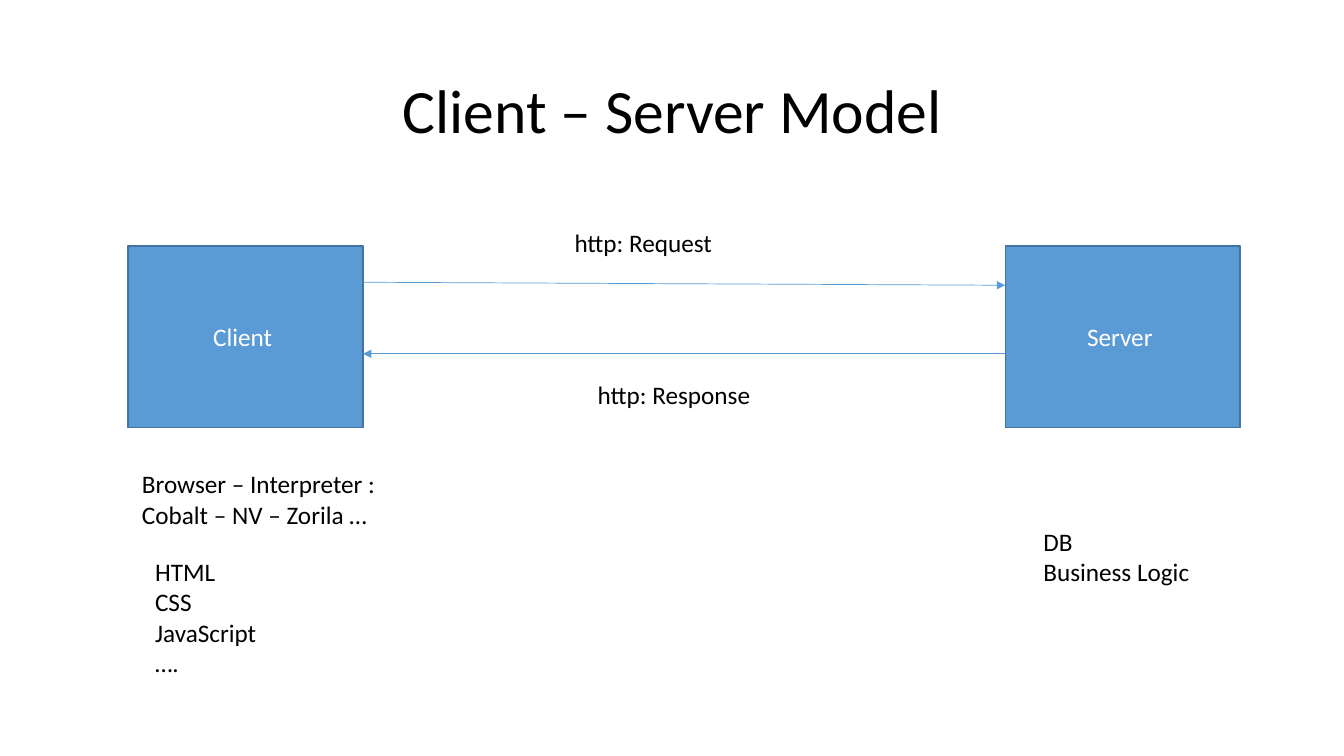
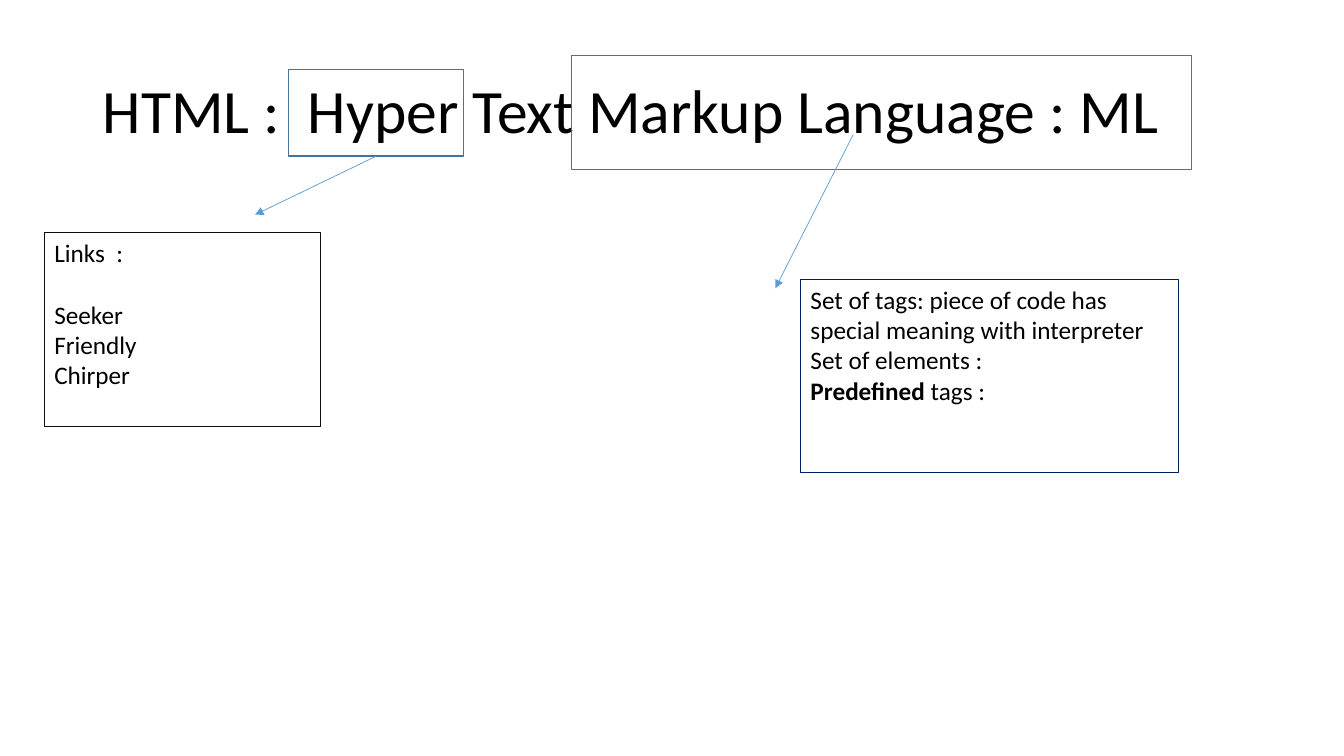
"""Build two slides on the client-server model and the meaning of HTML."""
from pptx import Presentation
from pptx.dml.color import RGBColor
from pptx.enum import shapes, text
from pptx.oxml import ns, xmlchemy
from pptx.util import Inches, Pt

FONT = "Calibri"
BLACK = RGBColor(0x00, 0x00, 0x00)
WHITE = RGBColor(0xFF, 0xFF, 0xFF)
BLUE = RGBColor(0x5B, 0x9B, 0xD5)
EDGE_BLUE = RGBColor(0x43, 0x73, 0x9E)
NEAR_BLACK = RGBColor(0x0D, 0x0D, 0x0D)
NAVY = RGBColor(0x00, 0x20, 0x60)
LEFT, CENTER = text.PP_ALIGN.LEFT, text.PP_ALIGN.CENTER
TOP, MIDDLE = text.MSO_ANCHOR.TOP, text.MSO_ANCHOR.MIDDLE


def add_block(slide, place, words="", size=18, color=BLACK, align=LEFT,
              anchor=TOP, fill=None, edge=None, edge_width=1):
    """Add a text box, or a rectangle when an edge colour is given."""
    box = [Inches(length) for length in place]
    if edge is None:
        block = slide.shapes.add_textbox(*box)
    else:
        block = slide.shapes.add_shape(shapes.MSO_SHAPE.RECTANGLE, *box)
        block.shadow.inherit = False
        block.line.color.rgb = edge
        block.line.width = Pt(edge_width)
        if fill is None:
            block.fill.background()
        else:
            block.fill.solid()
            block.fill.fore_color.rgb = fill
    frame = block.text_frame
    frame.word_wrap = True
    frame.vertical_anchor = anchor
    frame.text = words
    for paragraph in frame.paragraphs:
        paragraph.alignment = align
        for run in paragraph.runs:
            run.font.name = FONT
            run.font.size = Pt(size)
            run.font.color.rgb = color
    return block


def add_arrow(slide, *ends):
    """Add a thin blue arrow between two points."""
    arrow = slide.shapes.add_connector(
        shapes.MSO_CONNECTOR.STRAIGHT, *[Inches(length) for length in ends])
    arrow.line.color.rgb = BLUE
    arrow.line.width = Pt(0.5)
    head = xmlchemy.OxmlElement("a:tailEnd")
    head.set("type", "triangle")
    properties = arrow._element.spPr
    properties.find(ns.qn("a:ln")).append(head)
    properties.append(xmlchemy.OxmlElement("a:effectLst"))
    return arrow


deck = Presentation()
deck.slide_width, deck.slide_height = Inches(13.33), Inches(7.5)

titles = [("Client – Server Model", CENTER),
          ("HTML :  Hyper Text Markup Language : ML", LEFT)]
for words, align in titles:
    slide = deck.slides.add_slide(deck.slide_layouts[6])
    title = add_block(slide, (0.92, 0.4, 11.5, 1.45), words, 44,
                      align=align, anchor=MIDDLE)
    title.text_frame.paragraphs[0].line_spacing = 0.9
model_slide, html_slide = deck.slides

for left, name in [(1.27, "Client "), (9.97, "Server ")]:
    add_block(model_slide, (left, 2.44, 2.33, 1.8), name, color=WHITE,
              align=CENTER, anchor=MIDDLE, fill=BLUE, edge=EDGE_BLUE)

add_arrow(model_slide, 3.6, 2.8, 9.97, 2.83)
add_arrow(model_slide, 9.97, 3.51, 3.6, 3.51)

labels = [
    ((5.6, 2.21, 1.9, 0.4), "http: Request"),
    ((5.83, 3.71, 1.9, 0.4), "http: Response"),
    ((1.31, 4.6, 2.71, 0.71), "Browser – Interpreter :\nCobalt – NV – Zorila …"),
    ((1.44, 5.47, 2.16, 1.31), "HTML\nCSS\nJavaScript\n…."),
    ((10.25, 5.17, 2.16, 1.01), "DB\nBusiness Logic"),
]
for place, words in labels:
    add_block(model_slide, place, words)

hyper_frame = add_block(html_slide, (2.86, 0.69, 1.74, 0.86), edge=EDGE_BLUE)
add_block(html_slide, (5.67, 0.55, 6.15, 1.13), edge=EDGE_BLUE)

links_arrow = add_arrow(html_slide, 3.73, 1.55, 2.53, 2.13)
links_arrow.begin_connect(hyper_frame, 2)
add_arrow(html_slide, 8.46, 1.34, 7.69, 2.86)

links = add_block(html_slide, (0.44, 2.31, 2.74, 1.92),
                  "Links  :\nSeeker\nFriendly\nChirper",
                  edge=NEAR_BLACK, edge_width=0.75)
links.text_frame.paragraphs[0].space_after = Pt(22)

markup = add_block(html_slide, (7.94, 2.77, 3.75, 1.92),
                   "Set of tags: piece of code has special meaning with interpreter\n"
                   "Set of elements :\nPredefined",
                   edge=NAVY, edge_width=0.75)
predefined = markup.text_frame.paragraphs[-1]
predefined.runs[0].font.bold = True
tags = predefined.add_run()
tags.text = " tags :"
tags.font.name = FONT
tags.font.size = Pt(18)
tags.font.color.rgb = BLACK

deck.save("out.pptx")
